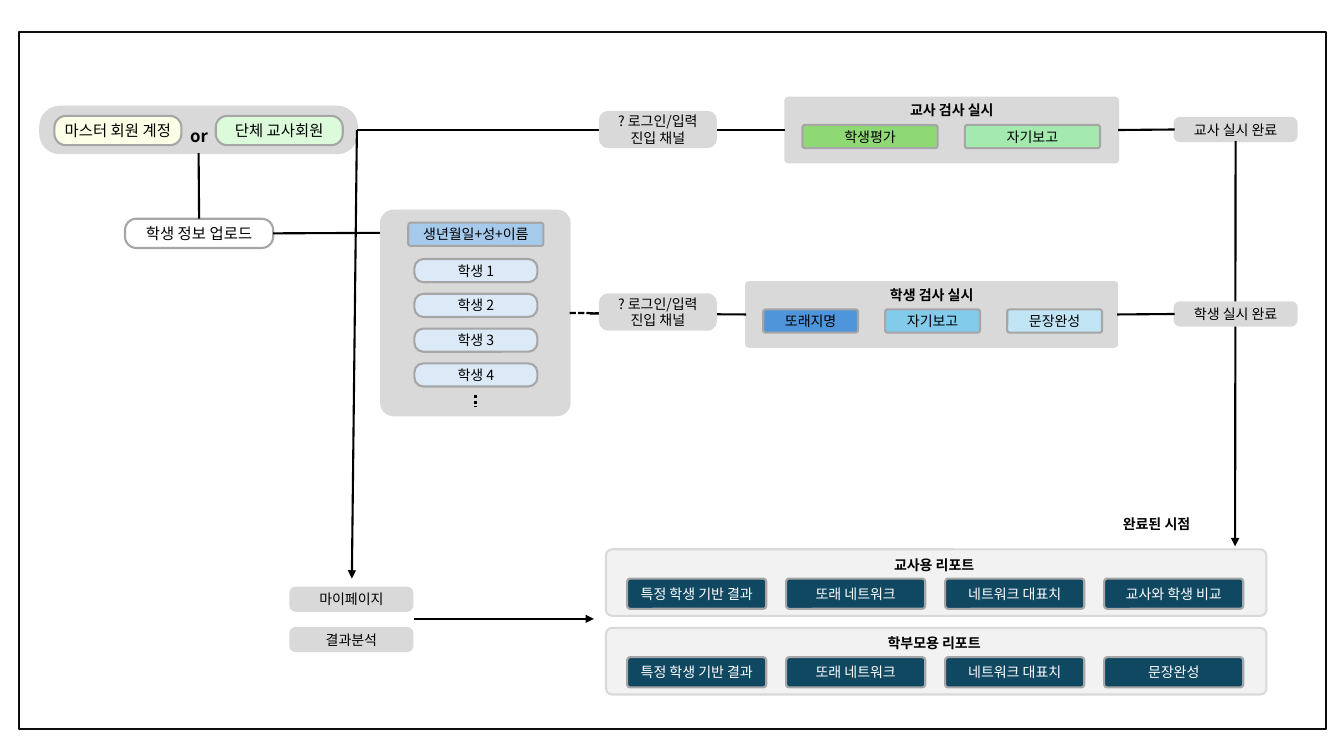
from lxml.etree import SubElement
from pptx import Presentation
from pptx.dml.color import RGBColor
from pptx.enum.dml import MSO_LINE
from pptx.enum.shapes import MSO_CONNECTOR, MSO_SHAPE
from pptx.enum.text import MSO_ANCHOR, PP_ALIGN
from pptx.oxml.ns import qn
from pptx.util import Inches, Pt

FONT = "Noto Sans CJK KR"
BLACK = RGBColor(0x00, 0x00, 0x00)
WHITE = RGBColor(0xFF, 0xFF, 0xFF)
INK = RGBColor(0x0D, 0x0D, 0x0D)
EDGE = RGBColor(0xA6, 0xA6, 0xA6)
GREY = RGBColor(0xD9, 0xD9, 0xD9)
PALE = RGBColor(0xF2, 0xF2, 0xF2)
NAVY = RGBColor(0x10, 0x48, 0x62)
CREAM = RGBColor(0xFD, 0xFF, 0xE7)
MINT = RGBColor(0xDB, 0xFB, 0xDA)
GREEN = RGBColor(0x8E, 0xD9, 0x73)
LIME = RGBColor(0xA4, 0xEA, 0xAE)
ICE = RGBColor(0xDC, 0xEA, 0xF7)
SKY = RGBColor(0xA6, 0xCA, 0xEC)
BLUE = RGBColor(0x4E, 0x95, 0xD9)
AQUA = RGBColor(0x83, 0xCB, 0xEB)
FROST = RGBColor(0xC1, 0xE5, 0xF5)

TOP, LEFT, BOTTOM, RIGHT = range(4)
TILE, PILL, TAG = 0.104, 0.389, 0.234  # corner roundness


def write(shape, text, size=10, color=BLACK, bold=False):
    """Centre the text in its shape, one paragraph per line."""
    frame = shape.text_frame
    frame.word_wrap = True
    frame.vertical_anchor = MSO_ANCHOR.MIDDLE
    frame.margin_left = frame.margin_right = 0
    frame.margin_top = frame.margin_bottom = 0
    frame.text = text
    for para in frame.paragraphs:
        para.alignment = PP_ALIGN.CENTER
        font = para.font
        font.name, font.size, font.bold = FONT, Pt(size), bold
        font.color.rgb = color
        for run in para.runs:
            props = run.font._element
            SubElement(props, qn("a:ea")).set("typeface", FONT)


def box(slide, x, y, w, h, fill=None, line=EDGE, text="", adj=TILE, **style):
    kind = MSO_SHAPE.ROUNDED_RECTANGLE if adj else MSO_SHAPE.RECTANGLE
    shape = slide.shapes.add_shape(kind, Inches(x), Inches(y), Inches(w), Inches(h))
    shape.shadow.inherit = False
    if adj:
        shape.adjustments[0] = adj
    if fill is None:
        shape.fill.background()
    else:
        shape.fill.solid()
        shape.fill.fore_color.rgb = fill
    if line is None:
        shape.line.fill.background()
    else:
        shape.line.color.rgb = line
        shape.line.width = Pt(1.5)
    if text:
        write(shape, text, **style)
    return shape


def label(slide, x, y, w, h, text, size=10):
    note = slide.shapes.add_textbox(Inches(x), Inches(y), Inches(w), Inches(h))
    write(note, text, size, bold=True)


def link(slide, start, end, dash=None, tip=False, width=1.5):
    """Draw a line; each end is (x, y) in inches or (shape, side)."""
    line = slide.shapes.add_connector(MSO_CONNECTOR.STRAIGHT, 0, 0, 0, 0)
    if isinstance(start[0], (int, float)):
        line.begin_x, line.begin_y = map(Inches, start)
    else:
        line.begin_connect(*start)
    if isinstance(end[0], (int, float)):
        line.end_x, line.end_y = map(Inches, end)
    else:
        line.end_connect(*end)
    line.line.color.rgb = BLACK
    line.line.width = Pt(width)
    if dash:
        line.line.dash_style = dash
    if tip:
        SubElement(line.line._get_or_add_ln(), qn("a:tailEnd")).set("type", "triangle")
    SubElement(line._element.spPr, qn("a:effectLst"))


def tag(slide, x, y, text, w=1.21, h=0.23):
    return box(slide, x, y, w, h, GREY, GREY, text, TAG)


def login(slide, x, y):
    tag(slide, x, y, "? 로그인/입력\n진입 채널", 1.15, 0.35)


def accounts(slide, x, y):
    pod = box(slide, x, y, 3.14, 0.46, GREY, GREY, adj=0.42)
    box(slide, x + 0.14, y + 0.09, 1.26, 0.29, CREAM, text="마스터 회원 계정", adj=PILL, size=11)
    box(slide, x + 1.74, y + 0.09, 1.26, 0.29, MINT, text="단체 교사회원", adj=PILL, size=11)
    label(slide, x + 1.31, y + 0.12, 0.53, 0.33, "or", 12)
    return pod


def roster(slide, x, y):
    w = 1.87
    pod = box(slide, x, y, w, 2.03, GREY, GREY, adj=0.067)
    box(slide, x + 0.27, y + 0.12, 1.34, 0.23, SKY, text="생년월일+성+이름")
    for i in range(4):
        box(slide, x + 0.33, y + 0.48 + i * 0.345, 1.22, 0.23, ICE,
            text=f"학생 {i + 1}", adj=PILL)
    mid = x + w / 2
    link(slide, (mid, y + 1.83), (mid, y + 1.95), MSO_LINE.ROUND_DOT, width=2)
    return pod


def tests(slide, x, y, w, title, tiles, size, step):
    pod = box(slide, x, y, w, 0.64, GREY, GREY, adj=0.046)
    label(slide, x + w / 2 - 0.54, y + 0.01, 1.08, 0.23, title)
    for i, (name, fill) in enumerate(tiles):
        box(slide, x + 0.17 + i * step, y + 0.27, size, 0.23, fill, text=name)
    return pod


def report(slide, x, y, title, last):
    w = 6.55
    box(slide, x, y, w, 0.66, PALE, GREY, adj=0.09)
    label(slide, x + w / 2 - 0.57, y, 1.1, 0.3, title)
    names = ["특정 학생 기반 결과", "또래 네트워크", "네트워크 대표치", last]
    for i, name in enumerate(names):
        box(slide, x + 0.21 + i * 1.577, y + 0.29, 1.38, 0.3, NAVY, text=name, color=WHITE)


def flow(slide):
    # Frame
    box(slide, 0.19, 0.32, 12.96, 6.91, line=INK, adj=0)

    # Accounts and student upload
    users = accounts(slide, 0.4, 1.06)
    upload = box(slide, 1.24, 2.17, 1.47, 0.29, WHITE, text="학생 정보 업로드",
                 adj=PILL, size=11)
    link(slide, (users, BOTTOM), (upload, TOP))
    link(slide, (upload, RIGHT), (3.8, 2.31))
    link(slide, (users, RIGHT), (3.49, 5.74), tip=True)
    pupils = roster(slide, 3.78, 2.09)

    # Teacher path
    teach = tests(slide, 7.79, 0.97, 3.3, "교사 검사 실시",
                  [("학생평가", GREEN), ("자기보고", LIME)], 1.34, 1.61)
    link(slide, (users, RIGHT), (teach, LEFT))
    login(slide, 5.95, 1.11)
    done = tag(slide, 11.65, 1.17, "교사 실시 완료")
    link(slide, (teach, RIGHT), (done, LEFT))
    link(slide, (done, BOTTOM), (12.25, 5.42), tip=True)

    # Student path
    study = tests(slide, 7.4, 2.8, 3.68, "학생 검사 실시",
                  [("또래지명", BLUE), ("자기보고", AQUA), ("문장완성", FROST)], 0.94, 1.21)
    link(slide, (pupils, RIGHT), (6.7, 3.11), MSO_LINE.SQUARE_DOT)
    link(slide, (5.85, 3.11), (study, LEFT))
    login(slide, 5.95, 2.92)
    ready = tag(slide, 11.65, 3, "학생 실시 완료")
    link(slide, (study, RIGHT), (ready, LEFT))

    # Results and reports
    label(slide, 10.93, 5.08, 1.08, 0.23, "완료된 시점")
    tag(slide, 2.88, 5.83, "마이페이지")
    tag(slide, 2.88, 6.23, "결과분석")
    link(slide, (4.11, 6.14), (5.89, 6.14), tip=True)
    report(slide, 6.01, 5.45, "교사용 리포트", "교사와 학생 비교")
    report(slide, 6.01, 6.23, "학부모용 리포트", "문장완성")


def main():
    deck = Presentation()
    deck.slide_width, deck.slide_height = Inches(13.33), Inches(7.5)
    flow(deck.slides.add_slide(deck.slide_layouts[6]))
    deck.save("out.pptx")


if __name__ == "__main__":
    main()
